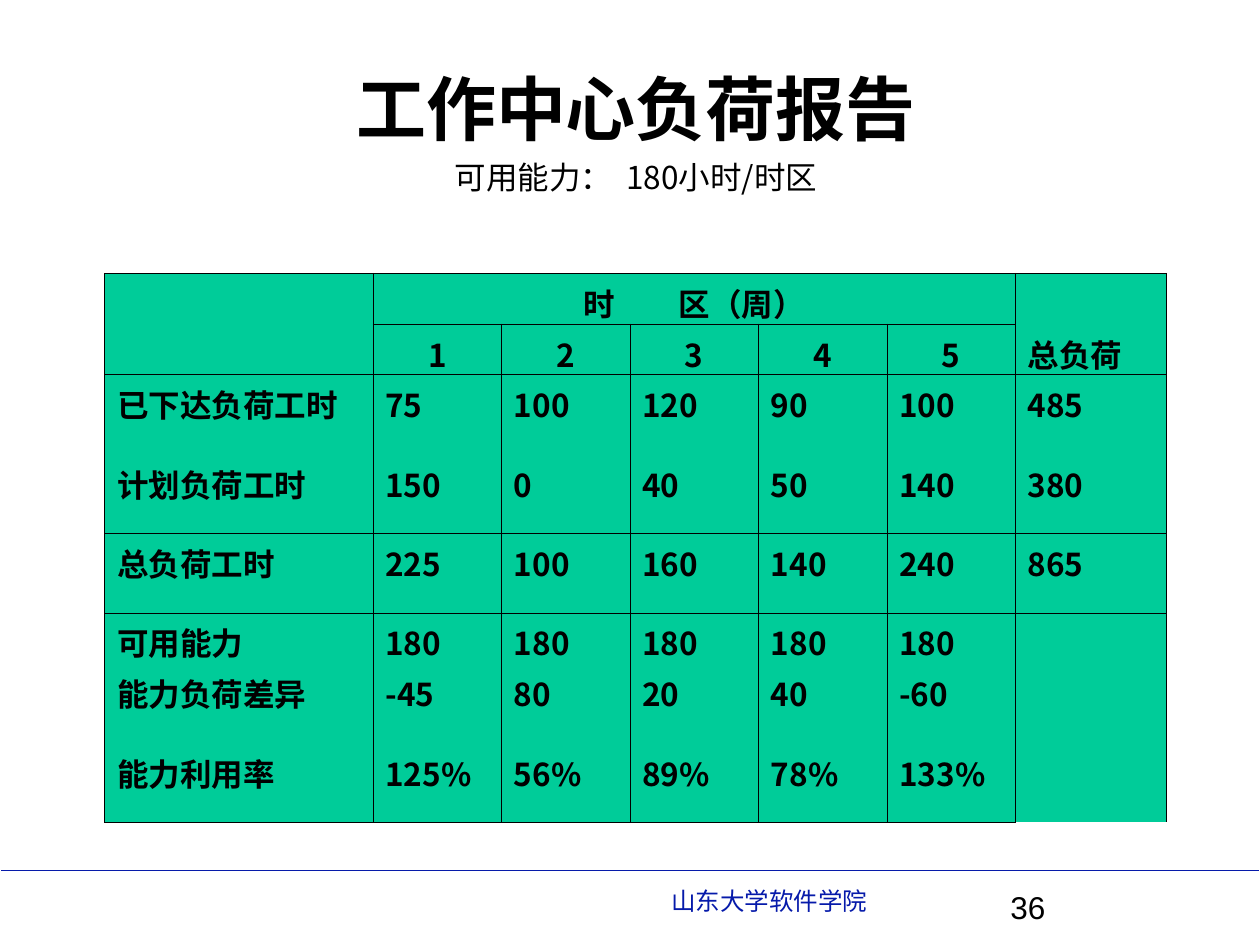
from lxml.etree import SubElement
from pptx import Presentation
from pptx.dml.color import RGBColor
from pptx.enum.shapes import MSO_CONNECTOR
from pptx.enum.text import MSO_ANCHOR, PP_ALIGN
from pptx.oxml import parse_xml
from pptx.oxml.ns import nsdecls, qn
from pptx.util import Cm, Pt

CJK = "Noto Sans CJK SC"
BLACK, NAVY, GREEN = "000000", "061AAA", "00CC99"

COLUMN_WIDTHS = [5.41] + [2.59] * 5 + [3.05]
ROW_HEIGHTS = [1.02, 1.02, 1.6, 1.6, 1.6, 1.02, 1.6, 1.6]
LOAD_ROWS = [
    ["", "1", "2", "3", "4", "5", "总负荷"],
    ["已下达负荷工时", "75", "100", "120", "90", "100", "485"],
    ["计划负荷工时", "150", "0", "40", "50", "140", "380"],
    ["总负荷工时", "225", "100", "160", "140", "240", "865"],
    ["可用能力", "180", "180", "180", "180", "180", ""],
    ["能力负荷差异", "-45", "80", "20", "40", "-60", ""],
    ["能力利用率", "125%", "56%", "89%", "78%", "133%", ""],
]
FULL_RULES = {0, 2, 4, 5, 8}


def color(hex_string):
    return RGBColor.from_string(hex_string)


def has_rule(boundary, column):
    """Tell whether a horizontal line runs above row number `boundary`."""
    return boundary in FULL_RULES or (boundary == 1 and 1 <= column <= 5)


class SlideBuilder:
    def __init__(self, slide):
        self.slide = slide
        self.body_size = 18

    def span(self, para, text, size=None, font=CJK, fill=BLACK, bold=False, spacing=0):
        """Add one run; spacing is extra width after each letter, in points."""
        run = para.add_run()
        run.text = text
        run.font.size = Pt(size or self.body_size)
        run.font.bold = bold
        run.font.name = font
        run.font.color.rgb = color(fill)
        properties = run.font._element
        SubElement(properties, qn("a:ea")).set("typeface", CJK)
        if spacing:
            properties.set("spc", str(spacing * 100))

    def box(self, left, top, width, height, anchor=MSO_ANCHOR.TOP):
        frame = self.slide.shapes.add_textbox(
            Cm(left), Cm(top), Cm(width), Cm(height)).text_frame
        frame.word_wrap = True
        frame.vertical_anchor = anchor
        return frame

    def rule(self, left, right, top):
        line = self.slide.shapes.add_connector(
            MSO_CONNECTOR.STRAIGHT, Cm(left), Cm(top), Cm(right), Cm(top))
        line.line.color.rgb = color(NAVY)
        line.line.width = Pt(1)
        SubElement(line._element.spPr, qn("a:effectLst"))

    def borders(self, cell, visible):
        """Set left, right, top and bottom lines from four flags."""
        properties = cell._tc.get_or_add_tcPr()
        for index, (side, shown) in enumerate(zip("LRTB", visible)):
            paint = (f'<a:solidFill><a:srgbClr val="{BLACK}"/></a:solidFill>'
                     if shown else "<a:noFill/>")
            properties.insert(index, parse_xml(
                f'<a:ln{side} {nsdecls("a")} w="5715">{paint}</a:ln{side}>'))

    def table(self, left, top):
        table = self.slide.shapes.add_table(
            len(ROW_HEIGHTS), len(COLUMN_WIDTHS), Cm(left), Cm(top),
            Cm(sum(COLUMN_WIDTHS)), Cm(sum(ROW_HEIGHTS))).table
        table.first_row = table.horz_banding = False
        for column, width in zip(table.columns, COLUMN_WIDTHS):
            column.width = Cm(width)
        for row, height in zip(table.rows, ROW_HEIGHTS):
            row.height = Cm(height)
        for row in range(len(ROW_HEIGHTS)):
            for column in range(len(COLUMN_WIDTHS)):
                cell = table.cell(row, column)
                cell.fill.solid()
                cell.fill.fore_color.rgb = color(GREEN)
                cell.margin_left = cell.margin_right = Cm(0.25)
                cell.margin_top = cell.margin_bottom = Cm(0.13)
                self.borders(cell, (True, True, has_rule(row, column),
                                    has_rule(row + 1, column)))
        table.cell(0, 0).merge(table.cell(1, 0))
        table.cell(0, 1).merge(table.cell(0, 5))
        table.cell(5, 6).merge(table.cell(7, 6))
        return table

    def cell_text(self, cell, text, align):
        para = cell.text_frame.paragraphs[0]
        para.alignment = align
        self.span(para, text, bold=True)
        return para


def main():
    deck = Presentation()
    deck.slide_width, deck.slide_height = Cm(25.4), Cm(19.05)
    builder = SlideBuilder(deck.slides.add_slide(deck.slide_layouts[6]))

    builder.rule(0.03, 25.37, 17.55)
    footer = builder.box(13.28, 17.73, 11, 0.86).paragraphs[0]
    builder.span(footer, "山东大学软件学院", size=14, font="Arial", fill=NAVY)
    number = builder.box(20.12, 17.78, 5.28, 1.27).paragraphs[0]
    builder.span(number, "36", font="Arial")

    table = builder.table(2.11, 5.51)
    heading = builder.cell_text(table.cell(0, 1), "时", PP_ALIGN.CENTER)
    builder.span(heading, " ", bold=True, spacing=32)
    builder.span(heading, "区（周）", bold=True)
    for row, values in enumerate(LOAD_ROWS, start=1):
        for column, value in enumerate(values):
            if value:
                centered = row == 1 and column < 6
                builder.cell_text(table.cell(row, column), value,
                                  PP_ALIGN.CENTER if centered else PP_ALIGN.JUSTIFY)

    title = builder.box(3.61, 1.07, 18.42, 3.12, MSO_ANCHOR.MIDDLE)
    heading = title.paragraphs[0]
    heading.alignment = PP_ALIGN.CENTER
    builder.span(heading, "工作中心负荷报告", size=40, bold=True)
    capacity = title.add_paragraph()
    capacity.alignment = PP_ALIGN.CENTER
    capacity.space_before = Pt(5)
    builder.span(capacity, "可用能力：")
    builder.span(capacity, " ", spacing=4)
    builder.span(capacity, "180小时/时区")

    deck.save("out.pptx")


if __name__ == "__main__":
    main()
